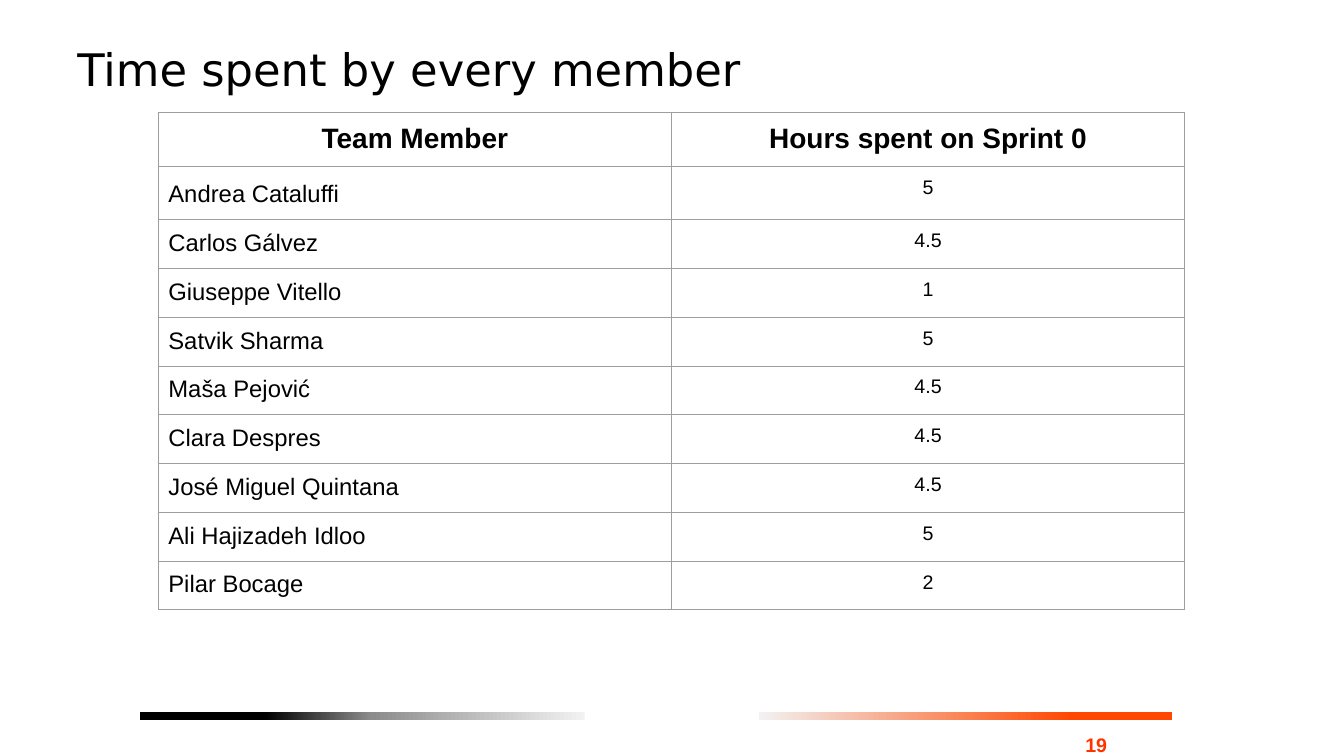
from dataclasses import dataclass

from lxml import etree
from pptx import Presentation
from pptx.dml.color import RGBColor
from pptx.enum.shapes import MSO_SHAPE
from pptx.enum.text import MSO_ANCHOR, PP_ALIGN
from pptx.oxml.ns import qn
from pptx.util import Inches, Pt

RECT = MSO_SHAPE.RECTANGLE
TOP, MIDDLE = MSO_ANCHOR.TOP, MSO_ANCHOR.MIDDLE
LEFT, CENTER, RIGHT = PP_ALIGN.LEFT, PP_ALIGN.CENTER, PP_ALIGN.RIGHT


@dataclass(frozen=True)
class Theme:
    text: str = "000000"
    gap: str = "707070"
    number: str = "FF3300"
    border: str = "9E9E9E"
    pale: str = "F2F2F2"
    grey: str = "8C8C8C"
    orange: str = "FF4701"
    title_font: str = "DejaVu Sans"
    gap_font: str = "Calibri"
    body_font: str = "Arial"
    title_size: int = 32
    gap_size: int = 44
    header_size: int = 20
    name_size: int = 17
    small_size: int = 14
    border_width: float = 0.75


THEME = Theme()


def add_run(p, text, *, size, font=THEME.body_font, color=THEME.text, bold=False):
    r = p.add_run()
    r.text = text
    r.font.name = font
    r.font.size = Pt(size)
    r.font.bold = bold
    r.font.color.rgb = RGBColor.from_string(color)


def add_color(parent, color):
    etree.SubElement(parent, qn("a:srgbClr"), val=color)


class SlideBuilder:
    def __init__(self, s, theme):
        self.s = s
        self.theme = theme

    def text_box(self, box, runs, align=LEFT, anchor=TOP):
        tf = self.s.shapes.add_textbox(*map(Inches, box)).text_frame
        tf.word_wrap = True
        tf.vertical_anchor = anchor
        p = tf.paragraphs[0]
        p.alignment = align
        for text, style in runs:
            add_run(p, text, **style)

    def gradient_bar(self, box, stops, angle):
        sp = self.s.shapes.add_shape(RECT, *map(Inches, box))
        sp.shadow.inherit = False
        sp.line.fill.background()
        sp.fill.gradient()
        sp.fill.gradient_angle = angle
        stop_list = sp.element.spPr.find(".//" + qn("a:gsLst"))
        for stop in list(stop_list):
            stop_list.remove(stop)
        for percent, color in stops:
            stop = etree.SubElement(stop_list, qn("a:gs"), pos=str(percent * 1000))
            add_color(stop, color)

    def cell(self, cell, text, align, line_spacing=None, **style):
        cell.margin_left = cell.margin_right = Inches(0.1)
        cell.margin_top = cell.margin_bottom = Inches(0.1)
        tc_pr = cell._tc.get_or_add_tcPr()
        for side in ("a:lnL", "a:lnR", "a:lnT", "a:lnB"):
            ln = etree.SubElement(tc_pr, qn(side), w=str(Pt(self.theme.border_width)))
            add_color(etree.SubElement(ln, qn("a:solidFill")), self.theme.border)
        cell.fill.background()
        p = cell.text_frame.paragraphs[0]
        p.alignment = align
        if line_spacing:
            p.line_spacing = line_spacing
        add_run(p, text, **style)

    def hours_table(self, box, header, members, heights):
        t = self.theme
        table = self.s.shapes.add_table(
            len(members) + 1, len(header), *map(Inches, box)).table
        table.first_row = table.horz_banding = False
        for row, height in zip(table.rows, heights):
            row.height = Inches(height)
        for col, label in enumerate(header):
            self.cell(table.cell(0, col), label, CENTER, size=t.header_size, bold=True)
        for row, (name, hours) in enumerate(members, 1):
            spacing = 1.15 if row == 1 else None
            self.cell(table.cell(row, 0), name, LEFT, spacing, size=t.name_size)
            self.cell(table.cell(row, 1), hours, CENTER, size=t.small_size)


HEADER = ("Team Member", "Hours spent on Sprint 0")
MEMBERS = [
    ("Andrea Cataluffi", "5"),
    ("Carlos Gálvez", "4.5"),
    ("Giuseppe Vitello", "1"),
    ("Satvik Sharma", "5"),
    ("Maša Pejović", "4.5"),
    ("Clara Despres", "4.5"),
    ("José Miguel Quintana", "4.5"),
    ("Ali Hajizadeh Idloo", "5"),
    ("Pilar Bocage", "2"),
]


def main():
    prs = Presentation()
    prs.slide_width, prs.slide_height = Inches(13.33), Inches(7.5)
    s = prs.slides.add_slide(prs.slide_layouts[6])
    t = THEME
    slide = SlideBuilder(s, t)

    # Footer bars
    slide.gradient_bar((1.39, 7.06, 4.41, 0.08),
                       [(0, t.pale), (48, t.grey), (72, t.text), (100, t.text)], 180)
    slide.gradient_bar((7.53, 7.06, 4.09, 0.08),
                       [(0, t.pale), (76, t.orange), (100, t.orange)], 0)

    # Title
    title = dict(size=t.title_size, font=t.title_font)
    gap = dict(size=t.gap_size, font=t.gap_font, color=t.gap)
    slide.text_box((0.67, 0.24, 12, 0.75),
                   [("Time spent by", title), (" ", gap), ("every member", title)],
                   anchor=MIDDLE)

    # Slide number
    number = dict(size=t.small_size, color=t.number, bold=True)
    slide.text_box((10.45, 7.22, 0.63, 0.28), [("19", number)], align=RIGHT)

    # Hours per member
    heights = [0.52, 0.5] + [0.46] * (len(MEMBERS) - 1)
    slide.hours_table((1.57, 1.12, 10.18, sum(heights)), HEADER, MEMBERS, heights)

    prs.save("out.pptx")


if __name__ == "__main__":
    main()
